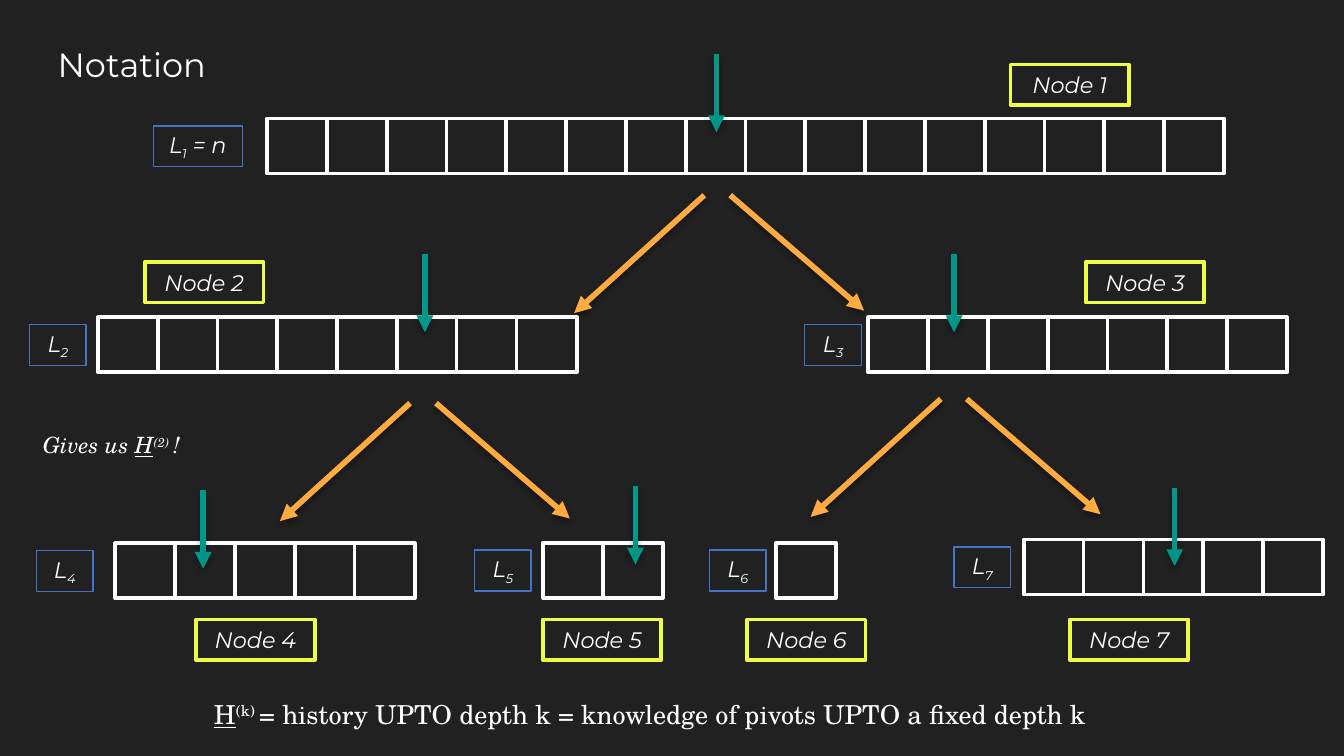
import pptx
import pptx.dml.color
import pptx.enum.shapes
import pptx.enum.text
import pptx.util
from lxml import etree
from pptx.util import Cm, Pt

color = pptx.dml.color.RGBColor.from_string
RECTANGLE = pptx.enum.shapes.MSO_SHAPE.RECTANGLE
STRAIGHT = pptx.enum.shapes.MSO_CONNECTOR.STRAIGHT
LEFT = pptx.enum.text.PP_ALIGN.LEFT
CENTER = pptx.enum.text.PP_ALIGN.CENTER
MIDDLE = pptx.enum.text.MSO_ANCHOR.MIDDLE

BACKGROUND, WHITE, BLUE = "212121", "FFFFFF", "4472C4"
YELLOW, ORANGE, TEAL = "EEFF41", "FFAB40", "009688"
SANS, SERIF = "Montserrat", "TeX Gyre Schola"
SUBSCRIPT, SUPERSCRIPT = "-25000", "30000"
CELL_WIDTH, CELL_HEIGHT, CELL_PITCH = 1.14, 1.04, 1.13
PIVOT_LENGTH = 1.48

ARROW_SHADOW = """
<a:effectLst xmlns:a="http://schemas.openxmlformats.org/drawingml/2006/main">
  <a:outerShdw blurRad="40000" dist="23000" dir="5400000" rotWithShape="0">
    <a:srgbClr val="000000"><a:alpha val="35000"/></a:srgbClr>
  </a:outerShdw>
</a:effectLst>"""


def write(box, pieces, size, font, italic=False, align=CENTER):
    """Fill a box with one paragraph of (text, baseline, underlined) pieces."""
    box.text_frame.word_wrap = True
    para = box.text_frame.paragraphs[0]
    para.alignment = align
    para.font.size = Pt(size)
    para.font.name = font
    para.font.italic = italic
    para.font.color.rgb = color(WHITE)
    for text, baseline, underlined in pieces:
        span = para.add_run()
        span.text = text
        if underlined:
            span.font.underline = True
        if baseline:
            span.font._element.set("baseline", baseline)


def draw_arrow(x, y, dx, dy, hue):
    arrow = page.shapes.add_connector(STRAIGHT, Cm(x), Cm(y), Cm(x + dx), Cm(y + dy))
    arrow.line.color.rgb = color(hue)
    arrow.line.width = Pt(3)
    line = arrow.line._get_or_add_ln()
    etree.SubElement(line, pptx.oxml.ns.qn("a:tailEnd"), type="triangle")
    arrow._element.spPr.append(etree.fromstring(ARROW_SHADOW))


deck = pptx.Presentation()
deck.slide_width, deck.slide_height = Cm(25.4), Cm(14.29)
page = deck.slides.add_slide(deck.slide_layouts[6])
page.background.fill.solid()
page.background.fill.fore_color.rgb = color(BACKGROUND)

title = page.shapes.add_textbox(Cm(0.84), Cm(0.58), Cm(23.37), Cm(1.37))
title.text_frame.margin_top = title.text_frame.margin_bottom = Cm(0.25)
write(title, [("Notation", None, False)], 18, SANS, align=LEFT)

# Left and right branch out of each split node
for x, y in [(13.31, 3.69), (7.75, 7.62), (17.78, 7.54)]:
    draw_arrow(x, y, -2.46, 2.23, ORANGE)
    draw_arrow(x + 0.49, y, 2.53, 2.18, ORANGE)

# Cells: left, top, count; length label: left; node tag: left, top; pivot: x, top
nodes = [
    (5.05, 2.24, 16, 2.90, 19.10, 1.22, (13.54, 1.02)),
    (1.85, 6.00, 8, 0.56, 2.74, 4.95, (8.03, 4.80)),
    (16.41, 6.00, 7, 15.21, 20.52, 4.95, (18.03, 4.80)),
    (2.18, 10.27, 5, 0.69, 3.71, 11.71, (3.84, 9.27)),
    (10.26, 10.26, 2, 8.97, 10.26, 11.71, (12.01, 9.19)),
    (14.66, 10.26, 1, 13.41, 14.12, 11.71, None),
    (19.35, 10.20, 5, 18.03, 20.22, 11.71, (22.20, 9.22)),
]
for number, node in enumerate(nodes, start=1):
    left, top, count, label_left, tag_left, tag_top, pivot = node

    row = page.shapes.add_group_shape()
    for index in range(count):
        cell = row.shapes.add_shape(RECTANGLE, Cm(left + index * CELL_PITCH), Cm(top),
                                    Cm(CELL_WIDTH), Cm(CELL_HEIGHT))
        cell.shadow.inherit = False
        cell.fill.solid()
        cell.fill.fore_color.rgb = color(BACKGROUND)
        cell.line.color.rgb = color(WHITE)
        cell.line.width = Pt(2)

    length = [("L", None, False), (str(number), SUBSCRIPT, False)]
    label_width = 1.07
    if number == 1:
        length.append((" = n", None, False))
        label_width = 1.68
    name = [(f"Node {number}", None, False)]
    for box_left, box_top, width, edge, weight, pieces in [
        (label_left, top + 0.14, label_width, BLUE, 0.75, length),
        (tag_left, tag_top, 2.24, YELLOW, 2, name),
    ]:
        box = page.shapes.add_shape(RECTANGLE, Cm(box_left), Cm(box_top), Cm(width), Cm(0.77))
        box.shadow.inherit = False
        box.fill.background()
        box.line.color.rgb = color(edge)
        box.line.width = Pt(weight)
        box.text_frame.vertical_anchor = MIDDLE
        write(box, pieces, 12, SANS, italic=True)

    if pivot:
        draw_arrow(*pivot, 0, PIVOT_LENGTH, TEAL)

remark = page.shapes.add_textbox(Cm(0.56), Cm(8.03), Cm(3.81), Cm(0.77))
write(remark, [("Gives us ", None, False), ("H", None, True),
               ("(2) ", SUPERSCRIPT, False), ("!", None, False)],
      12, SERIF, italic=True, align=LEFT)

definition = page.shapes.add_textbox(Cm(0.57), Cm(13.08), Cm(23.44), Cm(0.86))
write(definition, [("H", None, True), ("(k) ", SUPERSCRIPT, False),
                   ("= history UPTO depth k = knowledge of pivots UPTO a fixed depth k",
                    None, False)],
      14, SERIF)

deck.save("out.pptx")
